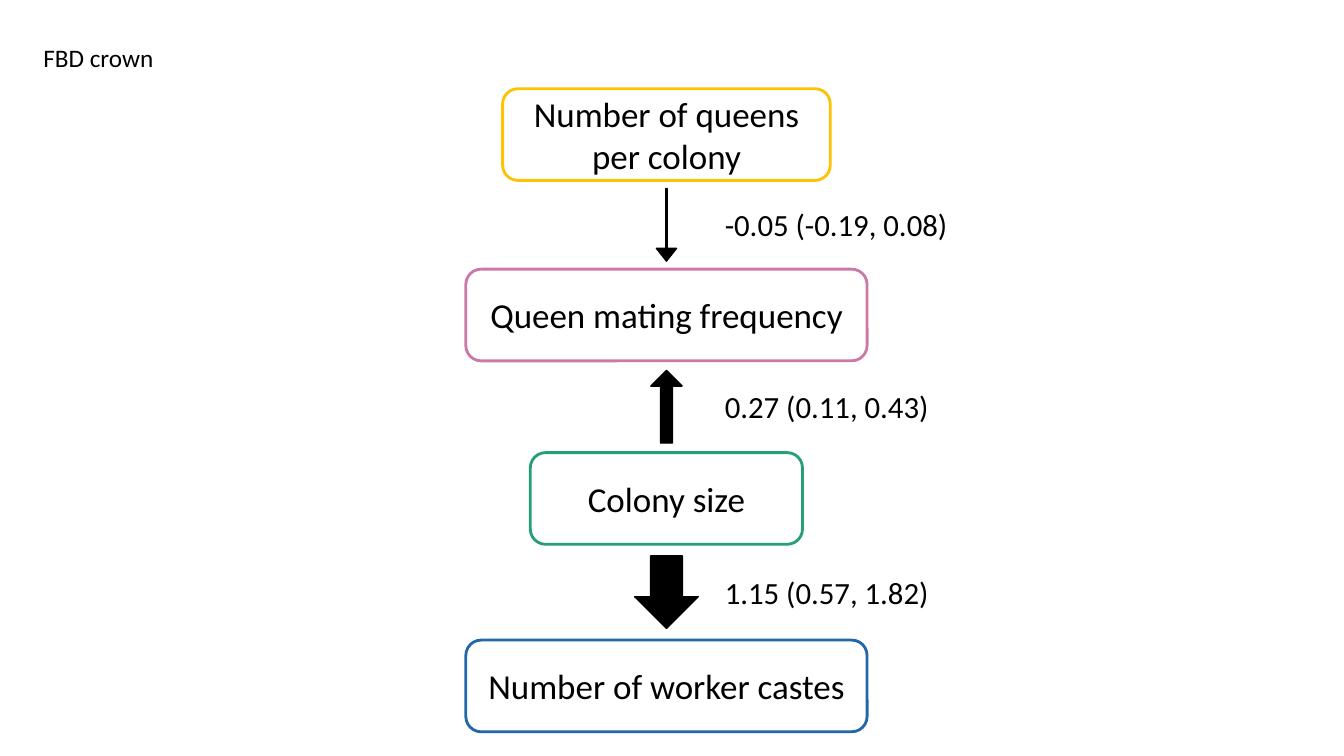
"""Build a slide of the path diagram that links four colony traits."""
from dataclasses import dataclass

from pptx import Presentation
from pptx.dml.color import RGBColor as Rgb
from pptx.enum.shapes import MSO_SHAPE as Kind
from pptx.enum.text import MSO_ANCHOR as Anchor, MSO_AUTO_SIZE as Fit, PP_ALIGN as Align
from pptx.util import Inches, Pt

TITLE = "FBD crown"

# text, top, width, outline
TRAITS = [
    ("Number of queens per colony", 0.88, 3.25, "gold"),
    ("Queen mating frequency", 2.67, 3.98, "pink"),
    ("Colony size", 4.49, 2.7, "green"),
    ("Number of worker castes", 6.35, 3.98, "blue"),
]
# text, label width, arrow thickness, turn, shaft share, head share
EFFECTS = [
    ("-0.05 (-0.19, 0.08)", 2.69, 0.2, 90, 0.07, 0.63),
    ("0.27 (0.11, 0.43)", 2.51, 0.31, 270, 0.38, 0.5),
    ("1.15 (0.57, 1.82)", 2.51, 0.63, 90, 0.5, 0.5),
]
MID, BOX_H = 6.61, 0.91
ARROW, NOTE_X, NOTE_H = 0.72, 7.09, 0.47


@dataclass(frozen=True)
class Theme:
    """Hold the colours, font and type sizes."""
    ink: str = "000000"
    paper: str = "FFFFFF"
    gold: str = "FDC302"
    pink: str = "CC79A7"
    green: str = "279E73"
    blue: str = "2366A9"
    font: str = "Calibri"
    title: int = 18
    trait: int = 25
    note: int = 22


LOOK = Theme()


def write(shape, text, size, align, anchor, wrap):
    """Put one styled paragraph in a shape."""
    frame = shape.text_frame
    frame.text = text
    frame.word_wrap = wrap
    frame.auto_size = Fit.NONE
    frame.vertical_anchor = anchor
    para = frame.paragraphs[0]
    para.alignment = align
    para.font.name = LOOK.font
    para.font.size = Pt(size)
    para.font.color.rgb = Rgb.from_string(LOOK.ink)


def draw(slide, kind, area, fill, line, width):
    """Add a filled and outlined shape without a shadow."""
    shape = slide.shapes.add_shape(kind, *map(Inches, area))
    shape.shadow.inherit = False
    shape.fill.solid()
    shape.fill.fore_color.rgb = Rgb.from_string(fill)
    shape.line.color.rgb = Rgb.from_string(line)
    shape.line.width = Pt(width)
    return shape


def main():
    """Lay out the title, traits, arrows and effects."""
    deck = Presentation()
    deck.slide_width, deck.slide_height = Inches(13.33), Inches(7.5)
    slide = deck.slides.add_slide(deck.slide_layouts[5])

    title = slide.shapes.title
    title.left, title.top = Inches(0.33), Inches(0.37)
    title.width, title.height = Inches(1.35), Inches(0.4)
    write(title, TITLE, LOOK.title, Align.LEFT, Anchor.TOP, False)

    for text, top, width, hue in TRAITS:
        area = (MID - width / 2, top, width, BOX_H)
        box = draw(slide, Kind.ROUNDED_RECTANGLE, area, LOOK.paper, getattr(LOOK, hue), 2)
        write(box, text, LOOK.trait, Align.CENTER, Anchor.MIDDLE, True)

    for above, below, effect in zip(TRAITS, TRAITS[1:], EFFECTS):
        text, width, thick, turn, shaft, head = effect
        level = (above[1] + BOX_H + below[1]) / 2
        area = (MID - ARROW / 2, level - thick / 2, ARROW, thick)
        arrow = draw(slide, Kind.RIGHT_ARROW, area, LOOK.ink, LOOK.ink, 1)
        arrow.rotation = turn
        arrow.adjustments[0], arrow.adjustments[1] = shaft, head
        area = (NOTE_X, level - NOTE_H / 2, width, NOTE_H)
        note = slide.shapes.add_textbox(*map(Inches, area))
        write(note, text, LOOK.note, Align.LEFT, Anchor.TOP, False)

    deck.save("out.pptx")


if __name__ == "__main__":
    main()
